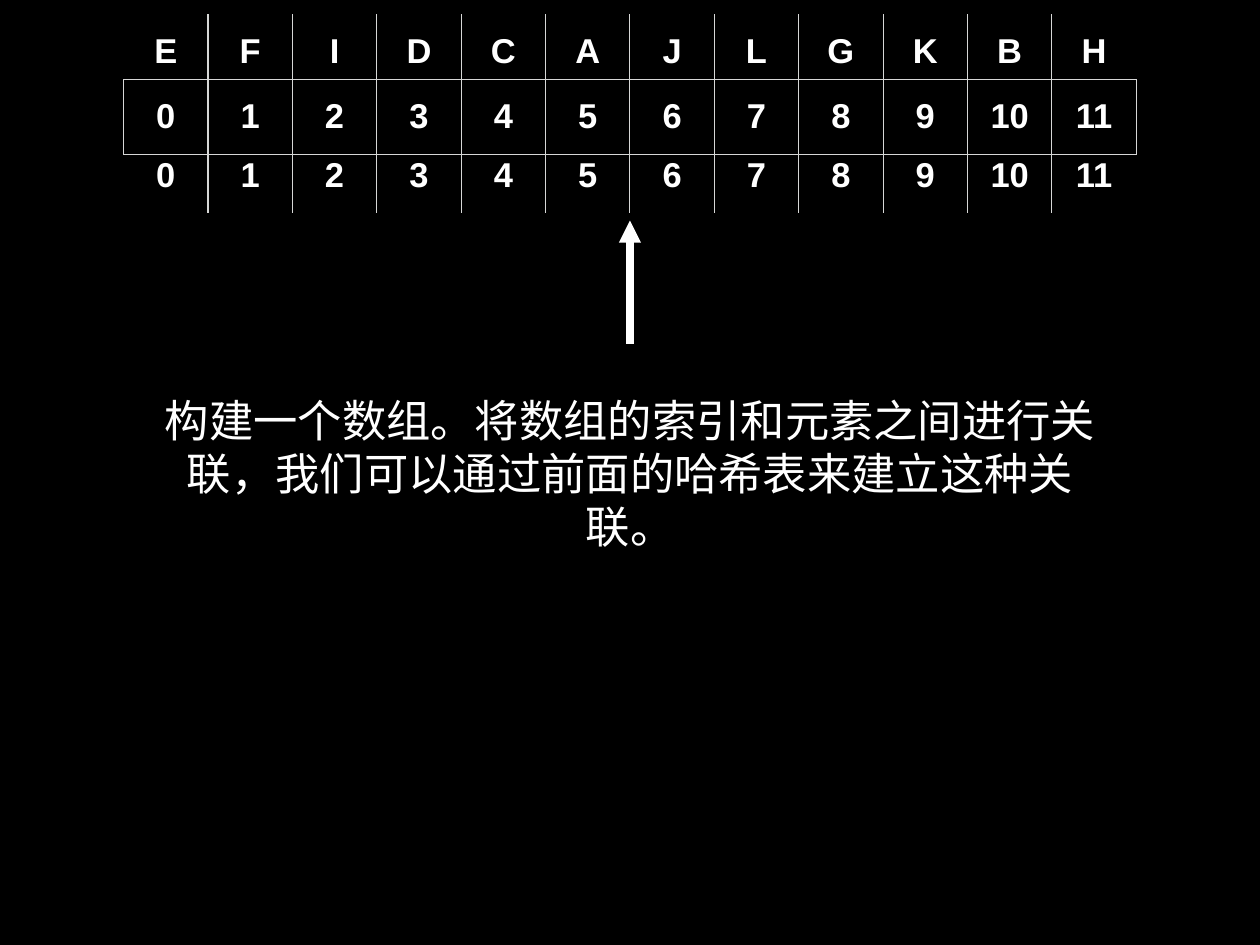
from lxml import etree
from pptx import Presentation
from pptx.dml.color import RGBColor
from pptx.enum.shapes import MSO_CONNECTOR
from pptx.enum.text import MSO_ANCHOR, MSO_AUTO_SIZE, PP_ALIGN
from pptx.oxml.ns import qn
from pptx.util import Inches, Pt

MID = MSO_ANCHOR.MIDDLE
GROW = MSO_AUTO_SIZE.SHAPE_TO_FIT_TEXT
CENTER = PP_ALIGN.CENTER
LINE = MSO_CONNECTOR.STRAIGHT

HUES = {"back": "000000", "text": "FFFFFF", "side": "D6D7D6", "edge": "D6D6D6"}
PAD = Inches(0.06)
PADS = {f"margin_{side}": PAD for side in ("left", "top", "right", "bottom")}
CELL = {**PADS, "vertical_anchor": MID}
FRAME = {**PADS, "vertical_anchor": MID, "word_wrap": True, "auto_size": GROW}
BOLD = {"name": "Arial", "size": Pt(28), "bold": True}
PROSE = {"name": "Courier New", "size": Pt(36), "bold": False}

KEYS = "EFIDCAJLGKBH"
SLOTS = [str(i) for i in range(len(KEYS))]
NOTE = "构建一个数组。将数组的索引和元素之间进行关联，我们可以通过前面的哈希表来建立这种关联。"


def color(key):
    return RGBColor.from_string(HUES[key])


def apply(item, form):
    for name, value in form.items():
        setattr(item, name, value)


def write(frame, text, form):
    para = frame.paragraphs[0]
    para.alignment = CENTER
    # Keep closing punctuation inside the line
    para._p.get_or_add_pPr().set("hangingPunct", "0")
    run = para.add_run()
    run.text = text
    apply(run.font, form)
    run.font.color.rgb = color("text")


def border(cell, side, key):
    """Draw one cell edge, or clear it when key is None."""
    edge = etree.SubElement(cell._tc.get_or_add_tcPr(), qn(f"a:ln{side}"), w=str(Pt(1)))
    if key:
        fill = etree.SubElement(edge, qn("a:solidFill"))
        etree.SubElement(fill, qn("a:srgbClr"), val=HUES[key])
    else:
        etree.SubElement(edge, qn("a:noFill"))


def add_row(slide, box, words, framed=False):
    """One-row table: inner dividers always, outer frame on request."""
    left, top, width, height = map(Inches, box)
    shape = slide.shapes.add_table(1, len(words), left, top, width, height)
    table = shape.table
    table.first_row = table.horz_banding = False
    last = len(words) - 1
    outer = "edge" if framed else None
    for i, word in enumerate(words):
        table.columns[i].width = Inches(box[2] / len(words))
        cell = table.cell(0, i)
        apply(cell, CELL)
        write(cell.text_frame, word, BOLD)
        border(cell, "L", "side" if i > 0 else outer)
        border(cell, "R", "side" if i < last else outer)
        border(cell, "T", outer)
        border(cell, "B", outer)
        cell.fill.background()


def add_arrow(slide, box):
    """Upward arrow from the bottom to the top of its box."""
    left, top, width, height = box
    mid = Inches(left + width / 2)
    arrow = slide.shapes.add_connector(LINE, mid, Inches(top + height), mid, Inches(top))
    arrow.line.color.rgb = color("text")
    arrow.line.width = Pt(6)
    props = arrow._element.spPr
    etree.SubElement(props.find(qn("a:ln")), qn("a:tailEnd"), type="triangle")
    etree.SubElement(props, qn("a:effectLst"))


def add_note(slide, box):
    frame = slide.shapes.add_textbox(*map(Inches, box)).text_frame
    apply(frame, FRAME)
    write(frame, NOTE, PROSE)


page = 14.22
deck = Presentation()
deck.slide_width, deck.slide_height = Inches(page), Inches(10.67)
slide = deck.slides.add_slide(deck.slide_layouts[6])
slide.background.fill.solid()
slide.background.fill.fore_color.rgb = color("back")

# Array with its keys above and its indexes below, centred on the page
width, height = 11.43, 0.84
left = (page - width) / 2
add_row(slide, (left, 0.9, width, height), SLOTS, framed=True)
add_row(slide, (left, 0.16, width, height), KEYS)

# Pointer and explanation
add_arrow(slide, (left, 2.49, width, 1.39))
add_note(slide, (1.62, 4.37, 10.98, 1.93))

add_row(slide, (left, 1.56, width, height), SLOTS)

deck.save("out.pptx")
